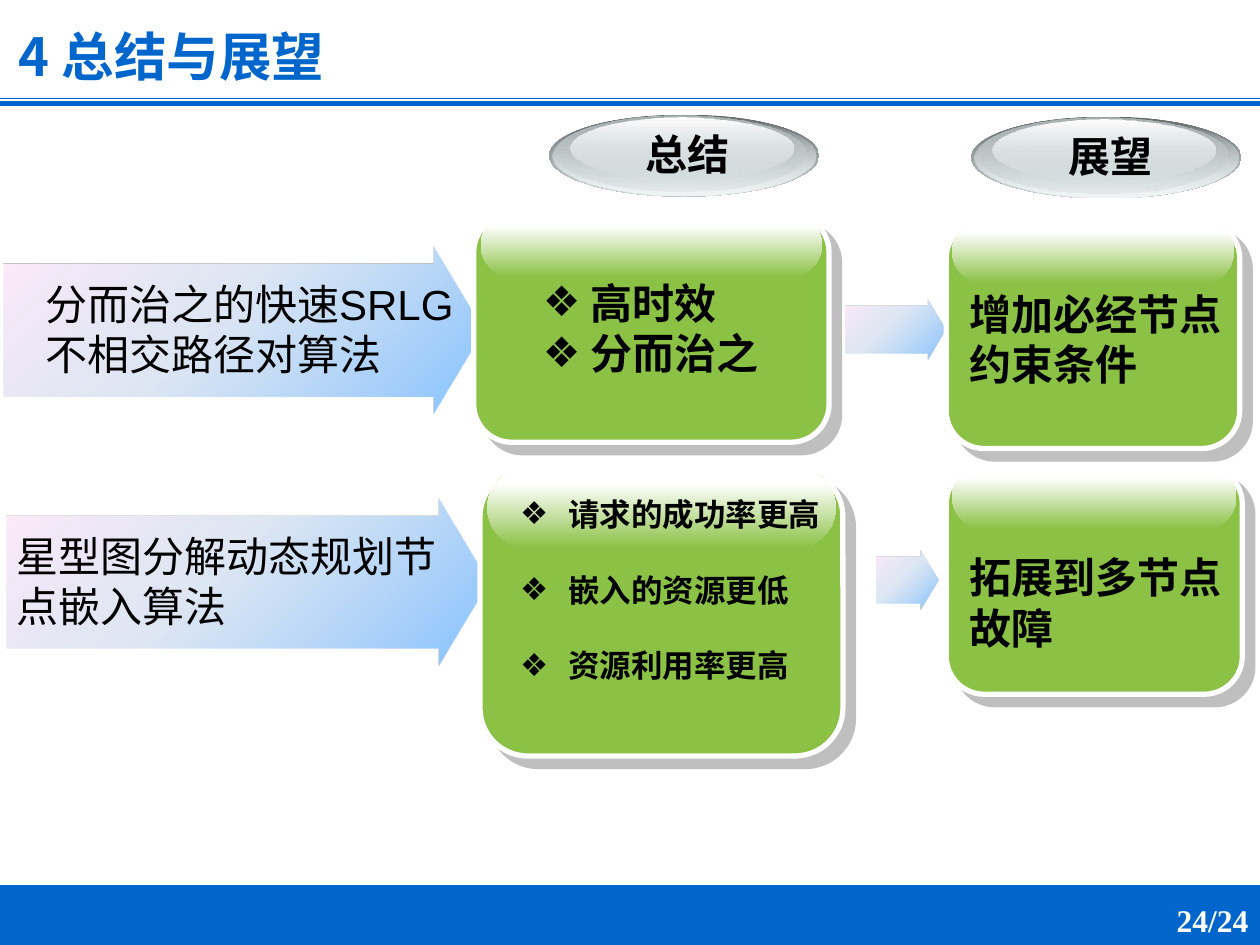
import pptx
import pptx.dml.color
import pptx.enum.shapes
import pptx.enum.text
import pptx.oxml
import pptx.oxml.ns
import pptx.util
import lxml.etree

SHAPES = pptx.enum.shapes.MSO_SHAPE
ALIGN = pptx.enum.text.PP_ALIGN
BLUE, GREEN, WHITE, BLACK = "0066CC", "8BC145", "FFFFFF", "000000"
COLUMNS, ROWS = 100, 75

ARROW_STOPS = [(0, "5E9EFF", 100), (0, "85C2FF", 100), (56, "D5E1F1", 81), (100, "FFEBFA", 100)]
STRIP_STOPS = [(0, WHITE, 100), (100, GREEN, 100)]
GLOSS_STOPS = [(20, WHITE, 100), (100, GREEN, 100)]
BADGE_LAYERS = [
    (0, 0, 21.4, 6.5, [(0, "636869", 100), (100, "D6E1E2", 100)]),
    (0.25, 0.05, 20.9, 6.4, [(0, "D6E1E2", 0), (100, "F1F5F5", 100)]),
    (0.5, 0.1, 19.8, 6, [(0, "AAB2B3", 100), (100, "D6E1E2", 48)]),
    (1.65, 0.25, 17.7, 4.8, [(0, WHITE, 100), (100, "D6E1E2", 38)]),
]


def color(value):
    return pptx.dml.color.RGBColor.from_string(value)


def apply(target, values):
    for name, value in values.items():
        setattr(target, name, value)


def add_xml(parent, tag, **attributes):
    element = lxml.etree.SubElement(parent, pptx.oxml.ns.qn(tag))
    for name, value in attributes.items():
        element.set(name, str(value))
    return element


class SlideBuilder:
    def __init__(self, presentation):
        self.slide = presentation.slides.add_slide(presentation.slide_layouts[6])
        self.column = presentation.slide_width / COLUMNS
        self.row = presentation.slide_height / ROWS
        self.east_asian = "Noto Sans CJK SC"

    def place(self, left, top, width, height):
        return [round(n * unit) for n, unit in zip(
            (left, top, width, height), (self.column, self.row) * 2)]

    def shape(self, kind, box, fill, line=None, line_width=0.75, adjustments=()):
        shape = self.slide.shapes.add_shape(kind, *self.place(*box))
        shape.shadow.inherit = False
        shape.fill.solid()
        shape.fill.fore_color.rgb = color(fill)
        if line:
            shape.line.color.rgb = color(line)
            shape.line.width = pptx.util.Pt(line_width)
        else:
            shape.line.fill.background()
        for index, value in enumerate(adjustments):
            shape.adjustments[index] = value
        return shape

    def gradient(self, kind, box, stops, angle=90, adjustments=()):
        shape = self.shape(kind, box, WHITE, adjustments=adjustments)
        shape.fill.gradient()
        gradient = shape._element.spPr.find(pptx.oxml.ns.qn("a:gradFill"))
        for child in list(gradient):
            gradient.remove(child)
        stop_list = add_xml(gradient, "a:gsLst")
        for position, value, opacity in stops:
            stop = add_xml(stop_list, "a:gs", pos=position * 1000)
            stop_color = add_xml(stop, "a:srgbClr", val=value)
            if opacity < 100:
                add_xml(stop_color, "a:alpha", val=opacity * 1000)
        add_xml(gradient, "a:lin", ang=angle * 60000, scaled=0)

    def rule(self, left, right, top, width):
        start_x, start_y, end_x, end_y = self.place(left, top, right, top)
        line = self.slide.shapes.add_connector(
            pptx.enum.shapes.MSO_CONNECTOR.STRAIGHT, start_x, start_y, end_x, end_y)
        line.line.color.rgb = color(BLUE)
        line.line.width = pptx.util.Pt(width)
        add_xml(line._element.spPr, "a:effectLst")

    def text(self, box, lines, size=24, bold=True, font="Arial", fill=BLACK,
             align=ALIGN.LEFT, wrap=False, bullet=False, gap=0):
        frame = self.slide.shapes.add_textbox(*self.place(*box)).text_frame
        apply(frame, {"word_wrap": wrap, "auto_size": pptx.enum.text.MSO_AUTO_SIZE.SHAPE_TO_FIT_TEXT})
        for index, line in enumerate(lines):
            paragraph = frame.add_paragraph() if index else frame.paragraphs[0]
            if bullet:
                indent = pptx.util.Inches(0.38)
                properties = paragraph._p.get_or_add_pPr()
                properties.set("marL", str(indent))
                properties.set("indent", str(-indent))
                add_xml(properties, "a:buFont", typeface=font)
                add_xml(properties, "a:buChar", char="❖")
            paragraph.alignment = align
            if index and gap:
                paragraph.space_before = pptx.util.Pt(gap)
            run = paragraph.add_run()
            run.text = line
            apply(run.font, {"size": pptx.util.Pt(size), "bold": bold, "name": font})
            run.font.color.rgb = color(fill)
            add_xml(run._r.get_or_add_rPr(), "a:ea", typeface=self.east_asian)

    def arrow(self, *box):
        self.gradient(SHAPES.RIGHT_ARROW, box, ARROW_STOPS, 225, (0.793, 0.303))

    def badge(self, left, top, label):
        for right, down, width, height, stops in BADGE_LAYERS:
            self.gradient(SHAPES.OVAL, (left + right, top + down, width, height), stops)
        self.text((left + 6.6, top + 0.6, 8.8, 5.1), [label], align=ALIGN.CENTER)

    def card(self, left, top, width, height):
        body = self.shape(SHAPES.ROUNDED_RECTANGLE, (left, top, width, height),
                          GREEN, WHITE, 3, (0.167,))
        effects = body._element.spPr.find(pptx.oxml.ns.qn("a:effectLst"))
        shadow = add_xml(effects, "a:outerShdw", blurRad=0, dist=pptx.util.Pt(8.5),
                         dir=45 * 60000, algn="ctr", rotWithShape=0)
        add_xml(add_xml(shadow, "a:srgbClr", val="808080"), "a:alpha", val=50000)
        for inset, down, share, stops in ((0.04, 0.2, 0.14, STRIP_STOPS),
                                          (0.02, -0.1, 0.28, GLOSS_STOPS)):
            box = (left + inset * width, top + down, (1 - 2 * inset) * width, share * height)
            self.gradient(SHAPES.ROUNDED_RECTANGLE, box, stops, adjustments=(0.5,))


def main():
    presentation = pptx.Presentation()
    apply(presentation, {"slide_width": pptx.util.Inches(10), "slide_height": pptx.util.Inches(7.5)})
    page = SlideBuilder(presentation)

    page.shape(SHAPES.RECTANGLE, (0, 70.3, 100, 5), BLUE, BLUE)
    page.rule(0, 100, 8.2, 3)
    page.rule(0, 100, 7.8, 0.25)
    page.text((0.5, 1.4, 27.4, 6.1), ["4 总结与展望"], 30, font="Noto Sans CJK SC", fill=BLUE)
    page.badge(43.6, 9.1, "总结")
    page.badge(77.1, 9.25, "展望")

    page.arrow(0.3, 19.6, 38.1, 13.2)
    page.text((2.6, 21.6, 35, 9.1), ["分而治之的快速SRLG不相交路径对算法"], bold=False, wrap=True)
    page.card(37.6, 17, 28.2, 18.1)
    page.text((42.1, 21.5, 19.3, 9.1), ["高时效", "分而治之"], bullet=True)
    page.arrow(67.1, 23.8, 7.9, 4.7)
    page.card(75.1, 17.5, 23.3, 18.1)
    page.text((76, 22.4, 22.3, 9.1), ["增加必经节点", "约束条件"])

    page.arrow(0.5, 39.6, 38.3, 13.2)
    page.text((0.3, 41.6, 41.8, 9.1), ["星型图分解动态规划节", "点嵌入算法"], bold=False, wrap=True)
    page.card(38.1, 37.2, 28.8, 22.8)
    page.text((40.3, 38.8, 27.1, 16.2), ["请求的成功率更高", "嵌入的资源更低", "资源利用率更高"],
              18, wrap=True, bullet=True, gap=21.6)
    page.arrow(69.6, 43.7, 4.9, 4.7)
    page.card(75.1, 37, 23.5, 18.1)
    page.text((76, 43.3, 22.3, 9.1), ["拓展到多节点", "故障"])

    page.text((92.4, 71, 7.8, 4), ["24/24"], 18, font="Times New Roman", fill=WHITE)
    presentation.save("out.pptx")


if __name__ == "__main__":
    main()
